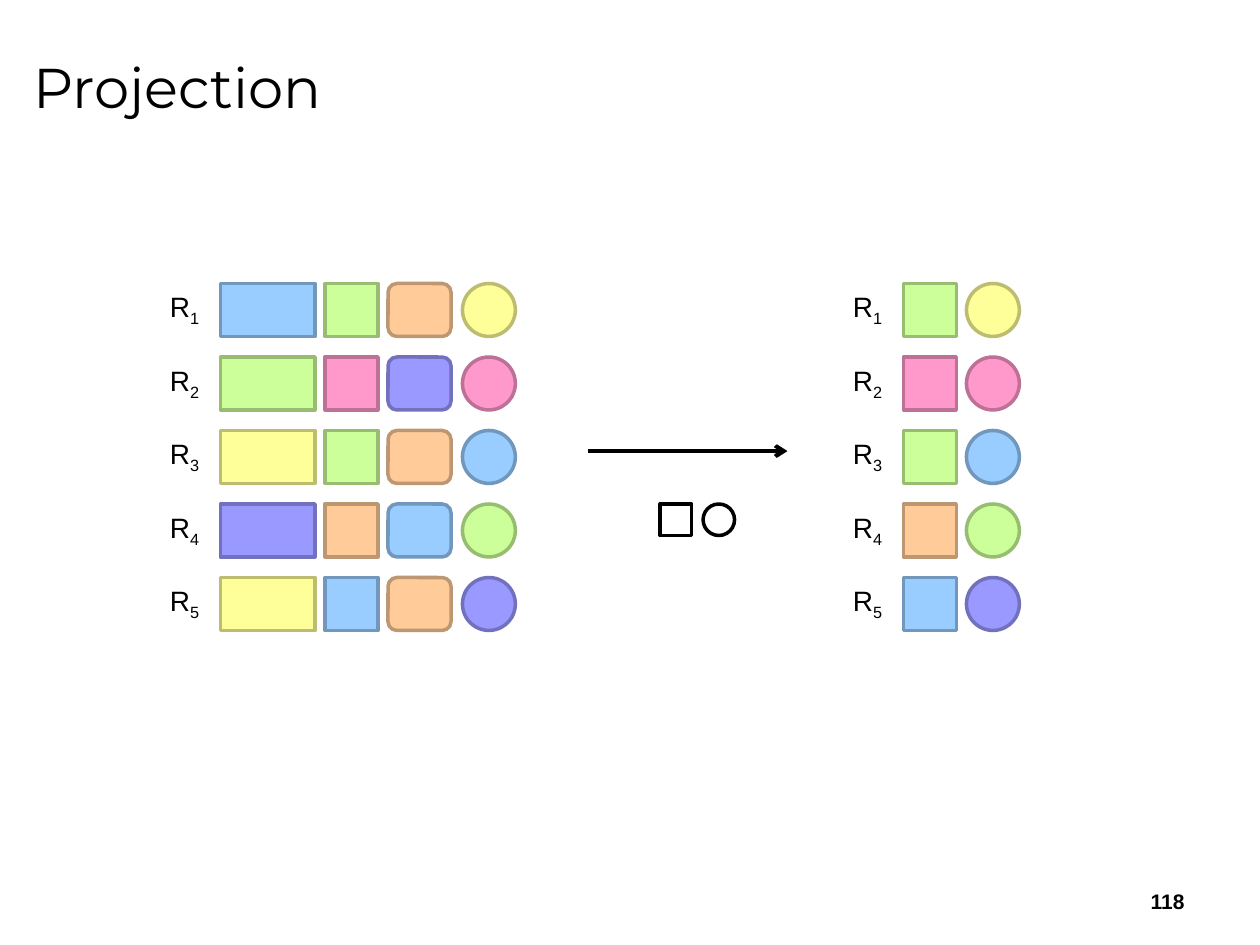
from dataclasses import dataclass

from lxml import etree
from pptx import Presentation
from pptx.dml.color import RGBColor
from pptx.enum import shapes, text
from pptx.oxml import ns
from pptx.util import Inches, Pt


@dataclass(frozen=True)
class Tone:
    fill: str
    line: str


@dataclass(frozen=True)
class Theme:
    ink: str = "000000"
    title_font: str = "Montserrat"
    body_font: str = "Arial"
    title_size: float = 32
    label_size: float = 16
    number_size: float = 12
    outline: float = 2
    arrow: float = 2.25


@dataclass(frozen=True)
class Column:
    """One attribute of a relation: its outline, place and width."""
    kind: shapes.MSO_SHAPE
    left: float
    width: float


@dataclass(frozen=True)
class Relation:
    label_left: float
    columns: tuple[Column, ...]
    rows: tuple[tuple[Tone, ...], ...]


THEME = Theme()
BLUE = Tone("99CCFF", "7197BD")
GREEN = Tone("CCFF99", "97BD71")
ORANGE = Tone("FFCC99", "BD9771")
YELLOW = Tone("FFFF99", "BDBD71")
PINK = Tone("FF99CC", "BD7197")
PURPLE = Tone("9999FF", "7171BD")

RECT = shapes.MSO_SHAPE.RECTANGLE
ROUNDED = shapes.MSO_SHAPE.ROUNDED_RECTANGLE
OVAL = shapes.MSO_SHAPE.OVAL

TOP, PITCH, CELL = 2.25, 7 / 12, 0.42
KEPT = (1, 3)  # the square and the circle
RECORDS = (
    (BLUE, GREEN, ORANGE, YELLOW),
    (GREEN, PINK, PURPLE, PINK),
    (YELLOW, GREEN, ORANGE, BLUE),
    (PURPLE, ORANGE, BLUE, GREEN),
    (YELLOW, BLUE, ORANGE, PURPLE),
)
SOURCE = Relation(
    1.25,
    (Column(RECT, 1.75, 0.75), Column(RECT, 2.58, CELL),
     Column(ROUNDED, 3.08, 0.5), Column(OVAL, 3.67, CELL)),
    RECORDS,
)
RESULT = Relation(
    6.67,
    (Column(RECT, 7.17, CELL), Column(OVAL, 7.67, CELL)),
    tuple(tuple(record[i] for i in KEPT) for record in RECORDS),
)


def add_box(page, left: float, top: float, width: float, height: float,
            wrap: bool = True, anchor=text.MSO_ANCHOR.TOP):
    """Add a text box and return its first paragraph."""
    box = page.shapes.add_textbox(Inches(left), Inches(top), Inches(width), Inches(height))
    frame = box.text_frame
    frame.word_wrap = wrap
    frame.vertical_anchor = anchor
    return frame.paragraphs[0]


def add_span(para, words: str, size: float, font: str = THEME.body_font, bold: bool = False):
    span = para.add_run()
    span.text = words
    span.font.size = Pt(size)
    span.font.name = font
    span.font.bold = bold
    span.font.color.rgb = RGBColor.from_string(THEME.ink)
    return span


def add_cell(parent, column: Column, top: float, height: float, tone: Tone | None = None) -> None:
    """Draw one attribute; without a tone it is an empty black outline."""
    cell = parent.shapes.add_shape(column.kind, Inches(column.left), Inches(top),
                                   Inches(column.width), Inches(height))
    cell.shadow.inherit = False
    cell.line.width = Pt(THEME.outline)
    cell.line.color.rgb = RGBColor.from_string(tone.line if tone else THEME.ink)
    if tone:
        cell.fill.solid()
        cell.fill.fore_color.rgb = RGBColor.from_string(tone.fill)
    else:
        cell.fill.background()


def add_relation(page, relation: Relation) -> None:
    for index, tones in enumerate(relation.rows):
        top = TOP + index * PITCH
        para = add_box(page, relation.label_left, top, 0.45, 0.37, wrap=False)
        add_span(para, "R", THEME.label_size)
        subscript = add_span(para, str(index + 1), THEME.label_size)
        subscript.font._element.set("baseline", "-25000")
        for column, tone in zip(relation.columns, tones):
            add_cell(page, column, top, CELL, tone)


def add_arrow(page, left: float, right: float, top: float) -> None:
    arrow = page.shapes.add_connector(shapes.MSO_CONNECTOR.STRAIGHT, Inches(left), Inches(top),
                                      Inches(right), Inches(top))
    arrow.line.width = Pt(THEME.arrow)
    arrow.line.color.rgb = RGBColor.from_string(THEME.ink)
    etree.SubElement(arrow.line._get_or_add_ln(), ns.qn("a:tailEnd"), type="arrow")
    etree.SubElement(arrow._element.spPr, ns.qn("a:effectLst"))


def main() -> None:
    deck = Presentation()
    deck.slide_width, deck.slide_height = Inches(10), Inches(7.5)
    page = deck.slides.add_slide(deck.slide_layouts[6])

    title = add_box(page, 0.17, 0.12, 9.5, 1.12, anchor=text.MSO_ANCHOR.MIDDLE)
    add_span(title, "Projection", THEME.title_size, THEME.title_font)

    add_relation(page, SOURCE)
    add_arrow(page, 4.67, 6.25, 3.58)
    kept_attributes = page.shapes.add_group_shape()
    for column in (Column(RECT, 5.24, 0.25), Column(OVAL, 5.58, 0.25)):
        add_cell(kept_attributes, column, 4, 0.25)
    add_relation(page, RESULT)

    number = add_box(page, 7.17, 6.95, 2.33, 0.4, anchor=text.MSO_ANCHOR.MIDDLE)
    number.alignment = text.PP_ALIGN.RIGHT
    add_span(number, "118", THEME.number_size, bold=True)

    deck.save("out.pptx")


if __name__ == "__main__":
    main()
